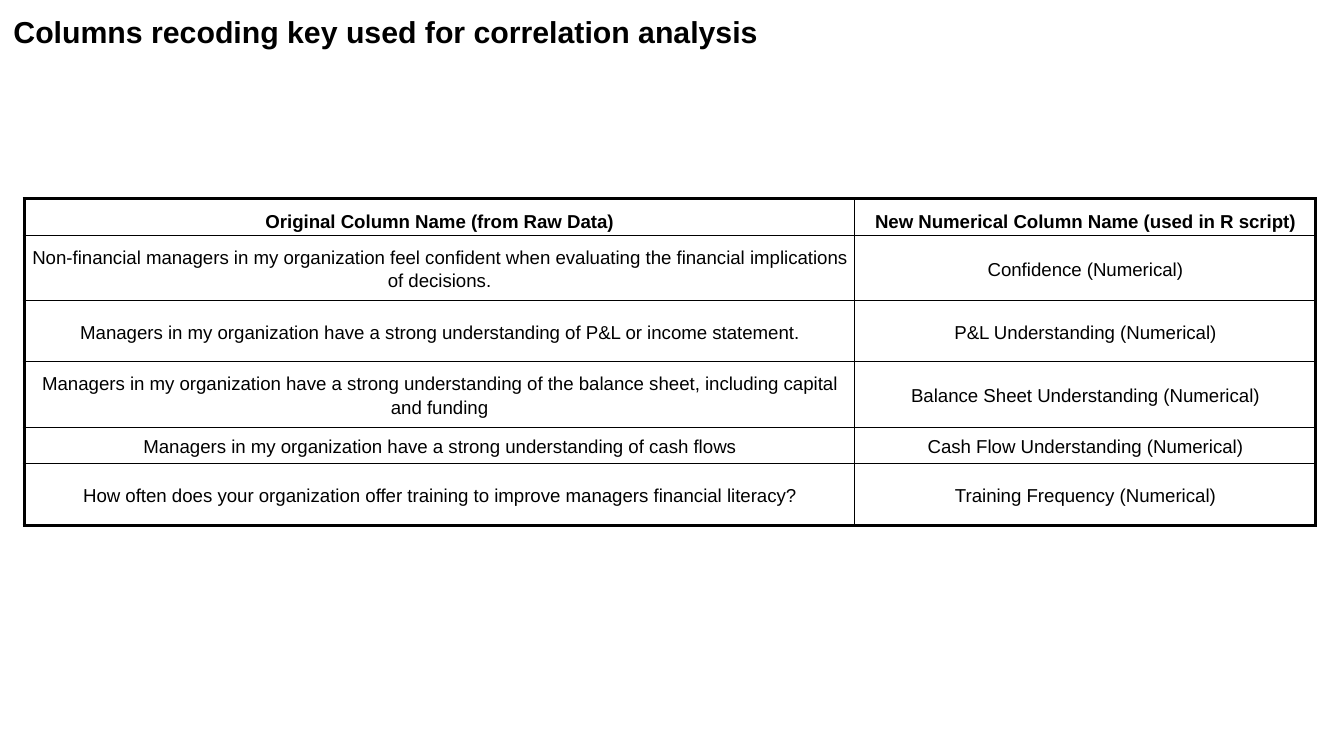
"""Build a slide with the column recoding key used for correlation analysis."""
from typing import NamedTuple

from lxml import etree
from pptx import Presentation
from pptx.dml.color import RGBColor
from pptx.enum.text import MSO_ANCHOR, PP_ALIGN
from pptx.oxml.ns import qn
from pptx.util import Inches, Pt

BLACK = RGBColor(0x00, 0x00, 0x00)
FONT = "Arial"
LEFT, CENTER = PP_ALIGN.LEFT, PP_ALIGN.CENTER
TOP, MIDDLE, BOTTOM = MSO_ANCHOR.TOP, MSO_ANCHOR.MIDDLE, MSO_ANCHOR.BOTTOM
OUTER_LINE, INNER_LINE = Pt(1.8), Pt(0.6)
SLIDE_WIDTH = Inches(10)
SLIDE_HEIGHT = SLIDE_WIDTH * 9 // 16
COLUMN_WIDTHS = (6.18, 3.43)


class Recoding(NamedTuple):
    source_column: str
    new_column: str
    height: float


RECODINGS = [
    Recoding("Original Column Name (from Raw Data)",
             "New Numerical Column Name (used in R script)", 0.27),
    Recoding("Non-financial managers in my organization feel confident when "
             "evaluating the financial implications of decisions.",
             "Confidence (Numerical)", 0.49),
    Recoding("Managers in my organization have a strong understanding of P&L or income statement.",
             "P&L Understanding (Numerical)", 0.45),
    Recoding("Managers in my organization have a strong understanding of the "
             "balance sheet, including capital and funding",
             "Balance Sheet Understanding (Numerical)", 0.49),
    Recoding("Managers in my organization have a strong understanding of cash flows",
             "Cash Flow Understanding (Numerical)", 0.27),
    Recoding("How often does your organization offer training to improve "
             "managers financial literacy?",
             "Training Frequency (Numerical)", 0.46),
]


def style_paragraph(paragraph, size: float, bold: bool, alignment) -> None:
    paragraph.alignment = alignment
    font = paragraph.font
    font.name, font.size, font.bold = FONT, Pt(size), bold
    font.color.rgb = BLACK


def set_margins(holder, horizontal: float, vertical: float) -> None:
    holder.margin_left = holder.margin_right = Inches(horizontal)
    holder.margin_top = holder.margin_bottom = Inches(vertical)


def add_border(cell, side: str, outer: bool) -> None:
    width = OUTER_LINE if outer else INNER_LINE
    line = etree.SubElement(cell._tc.get_or_add_tcPr(), qn(f"a:ln{side}"), w=str(int(width)))
    fill = etree.SubElement(line, qn("a:solidFill"))
    etree.SubElement(fill, qn("a:srgbClr"), val=str(BLACK))


def fill_cell(cell, text: str, is_header: bool, outer_sides: dict[str, bool]) -> None:
    cell.text = text
    cell.vertical_anchor = BOTTOM if is_header else MIDDLE
    set_margins(cell, 0.03, 0.02)
    paragraph = cell.text_frame.paragraphs[0]
    style_paragraph(paragraph, 10, is_header, CENTER)
    paragraph.line_spacing = 1.15
    for side, outer in outer_sides.items():
        add_border(cell, side, outer)
    cell.fill.background()


def add_title(slide, text: str) -> None:
    title = slide.shapes.title
    title.left, title.top = Inches(0), Inches(0)
    title.width, title.height = Inches(9.32), Inches(0.63)
    frame = title.text_frame
    frame.text = text
    frame.vertical_anchor = TOP
    set_margins(frame, 0.1, 0.1)
    style_paragraph(frame.paragraphs[0], 16.2, True, LEFT)


def add_recoding_table(slide, recodings: list[Recoding]) -> None:
    last_row, last_column = len(recodings) - 1, len(COLUMN_WIDTHS) - 1
    table = slide.shapes.add_table(
        len(recodings), len(COLUMN_WIDTHS), Inches(0.18), Inches(1.48),
        Inches(sum(COLUMN_WIDTHS)), Inches(sum(r.height for r in recodings))).table
    table.first_row = table.horz_banding = False
    for column, width in zip(table.columns, COLUMN_WIDTHS):
        column.width = Inches(width)
    for row, recoding in enumerate(recodings):
        table.rows[row].height = Inches(recoding.height)
        for column, text in enumerate((recoding.source_column, recoding.new_column)):
            outer_sides = {"L": column == 0, "R": column == last_column,
                           "T": row == 0, "B": row == last_row}
            fill_cell(table.cell(row, column), text, row == 0, outer_sides)


def main() -> None:
    deck = Presentation()
    deck.slide_width, deck.slide_height = SLIDE_WIDTH, SLIDE_HEIGHT
    slide = deck.slides.add_slide(deck.slide_layouts[5])
    add_title(slide, "Columns recoding key used for correlation analysis")
    add_recoding_table(slide, RECODINGS)
    deck.save("out.pptx")


if __name__ == "__main__":
    main()
